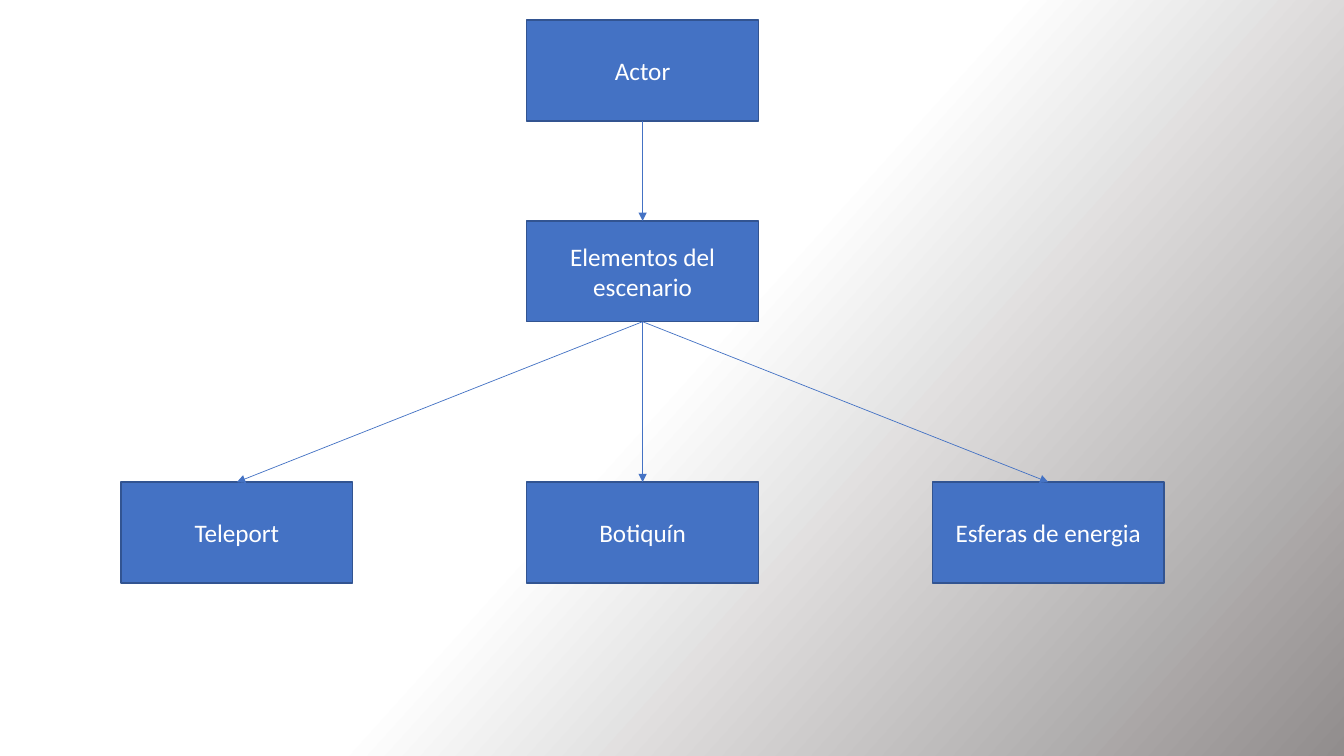
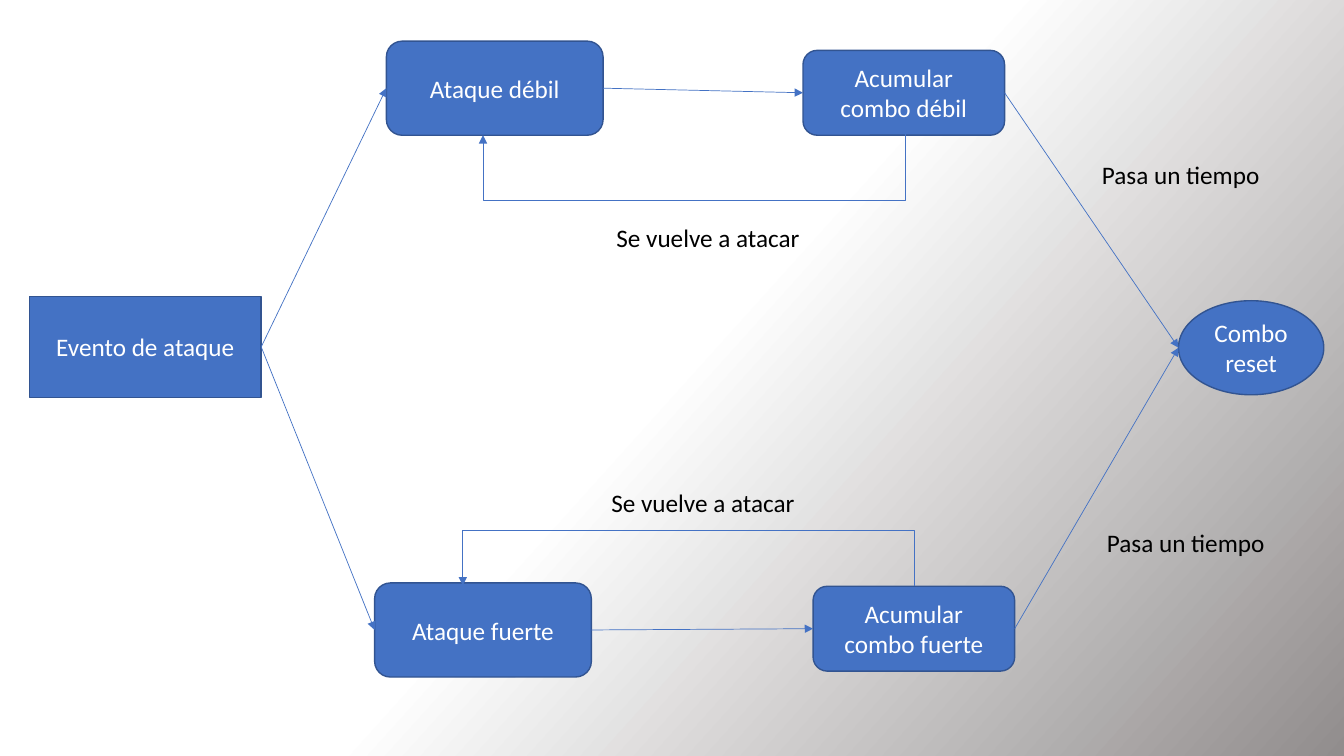
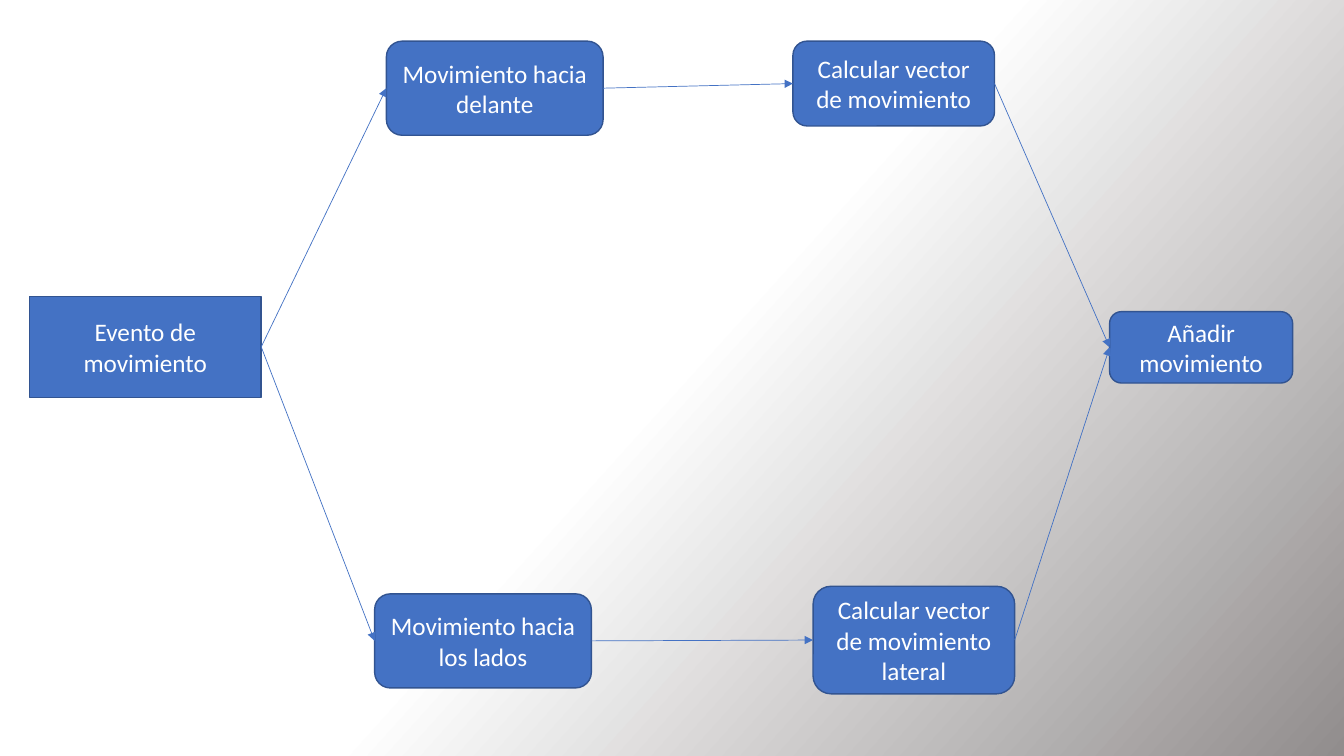
import copy

import pptx
import pptx.dml.color
import pptx.enum.shapes
import pptx.enum.text
import pptx.oxml
import pptx.oxml.ns
import pptx.util

RGB = pptx.dml.color.RGBColor
SHAPE = pptx.enum.shapes.MSO_SHAPE
qn = pptx.oxml.ns.qn

BLUE = RGB(0x44, 0x72, 0xC4)
OUTLINE = RGB(0x32, 0x54, 0x91)
WHITE = RGB(0xFF, 0xFF, 0xFF)
BLACK = RGB(0x00, 0x00, 0x00)
GREY = RGB(0x91, 0x8D, 0x8D)
FONT = "Calibri"
TEXT_SIZE = pptx.util.Pt(18)

# Connection sites of a box; an ellipse has eight, its left is number 2
TOP, LEFT, BOTTOM, RIGHT = range(4)
ELLIPSE_LEFT = 2

deck = pptx.Presentation()
deck.slide_width = pptx.util.Inches(13.333)
deck.slide_height = pptx.util.Inches(7.5)
CELL = deck.slide_width / 16  # square grid, 16 columns by 9 rows

# Shared background: white to the middle, then grey towards the lower right
backdrop = deck.slide_master.background.fill
backdrop.gradient()
backdrop.gradient_angle = 360 - 42
stop_list = deck.slide_master.element.find(".//" + qn("a:gsLst"))
stop_list.insert(1, copy.deepcopy(stop_list[0]))
for stop, (position, colour) in zip(backdrop.gradient_stops,
                                    [(0, WHITE), (0.5, WHITE), (1, GREY)]):
    stop.position = position
    stop.color.rgb = colour


def add_step(slide, wording, column, row, columns, rows, preset=None):
    """Add a blue step, or a plain label when no preset is given."""
    place = [round(n * CELL) for n in (column, row, columns, rows)]
    if preset is None:
        step = slide.shapes.add_textbox(*place)
        step.text_frame.word_wrap = False
    else:
        step = slide.shapes.add_shape(preset, *place)
        step.shadow.inherit = False
        step.fill.solid()
        step.fill.fore_color.rgb = BLUE
        step.line.color.rgb = OUTLINE
        step.line.width = pptx.util.Pt(1)
        step.text_frame.word_wrap = True
        step.text_frame.vertical_anchor = pptx.enum.text.MSO_ANCHOR.MIDDLE
    paragraph = step.text_frame.paragraphs[0]
    if preset is not None:
        paragraph.alignment = pptx.enum.text.PP_ALIGN.CENTER
    run = paragraph.add_run()
    run.text = wording
    run.font.name = FONT
    run.font.size = TEXT_SIZE
    run.font.color.rgb = BLACK if preset is None else WHITE
    return step


def style_arrow(arrow):
    """Thin blue line with a triangle at its end and no shadow."""
    arrow.line.color.rgb = BLUE
    arrow.line.width = pptx.util.Pt(0.5)
    properties = arrow.element.spPr
    head = pptx.oxml.ns.nsdecls("a")
    properties.find(qn("a:ln")).append(
        pptx.oxml.parse_xml(f'<a:tailEnd {head} type="triangle"/>'))
    if properties.find(qn("a:effectLst")) is None:
        properties.append(pptx.oxml.parse_xml(f"<a:effectLst {head}/>"))


blank = deck.slide_layouts[6]
hierarchy, attack, movement = [deck.slides.add_slide(blank) for _ in range(3)]
links = []  # slide, start step, its site, end step, its site

# Slide 1: class hierarchy in three columns
CLASS_SIZE = (2.76, 1.2)
class_columns = [1.44 + 4.83 * i for i in range(3)]
actor = add_step(hierarchy, "Actor", class_columns[1], 0.24, *CLASS_SIZE, SHAPE.RECTANGLE)
scenery = add_step(hierarchy, "Elementos del escenario", class_columns[1], 2.63,
                   *CLASS_SIZE, SHAPE.RECTANGLE)
links.append((hierarchy, actor, BOTTOM, scenery, TOP))
for wording, column in zip(["Teleport", "Botiquín", "Esferas de energia"], class_columns):
    element = add_step(hierarchy, wording, column, 5.74, *CLASS_SIZE, SHAPE.RECTANGLE)
    links.append((hierarchy, scenery, BOTTOM, element, TOP))

# Slides 2 and 3: an event splits into two branches that meet again
flows = [
    (attack, "Evento de ataque",
     ("Combo reset", 14.03, 3.58, 1.73, 1.12, SHAPE.OVAL), ELLIPSE_LEFT,
     [("Ataque débil", 4.6, 0.49, "Acumular combo débil", 9.56, 0.6, 1.01),
      ("Ataque fuerte", 4.46, 6.94, "Acumular combo fuerte", 9.68, 6.98, 1.01)]),
    (movement, "Evento de movimiento",
     ("Añadir movimiento", 13.21, 3.71, 2.18, 0.85, SHAPE.ROUNDED_RECTANGLE), LEFT,
     [("Movimiento hacia delante", 4.6, 0.49,
       "Calcular vector de movimiento", 9.44, 0.49, 1.01),
      ("Movimiento hacia los lados", 4.46, 7.07,
       "Calcular vector de movimiento lateral", 9.68, 6.98, 1.28)]),
]
for slide, event_wording, result_place, result_site, branches in flows:
    event = add_step(slide, event_wording, 0.35, 3.53, *CLASS_SIZE, SHAPE.RECTANGLE)
    result = add_step(slide, *result_place)
    for action, action_x, action_y, outcome, outcome_x, outcome_y, outcome_rows in branches:
        first = add_step(slide, action, action_x, action_y, 2.58, 1.12,
                         SHAPE.ROUNDED_RECTANGLE)
        second = add_step(slide, outcome, outcome_x, outcome_y, 2.4, outcome_rows,
                          SHAPE.ROUNDED_RECTANGLE)
        links += [(slide, event, RIGHT, first, LEFT),
                  (slide, first, RIGHT, second, LEFT),
                  (slide, second, RIGHT, result, result_site)]

# Straight arrows between the steps
for slide, start, start_site, end, end_site in links:
    arrow = slide.shapes.add_connector(pptx.enum.shapes.MSO_CONNECTOR.STRAIGHT, 0, 0, 0, 0)
    arrow.begin_connect(start, start_site)
    arrow.end_connect(end, end_site)
    if end.auto_shape_type == SHAPE.OVAL:
        arrow.end_x = end.left
        arrow.end_y = end.top + end.height // 2
    style_arrow(arrow)

# Slide 2: loops back to the attack, and the labels
for route in [[(10.78, 1.6), (10.78, 2.39), (5.75, 2.39), (5.75, 1.61)],
              [(10.88, 6.98), (10.88, 6.31), (5.51, 6.31), (5.51, 6.97)]]:
    corners = [(round(x * CELL), round(y * CELL)) for x, y in route]
    outline = attack.shapes.build_freeform(*corners[0])
    outline.add_line_segments(corners[1:], close=False)
    repeat = outline.convert_to_shape()
    repeat.shadow.inherit = False
    repeat.fill.background()
    style_arrow(repeat)
for wording, column, row, columns in [("Se vuelve a atacar", 7.22, 2.59, 2.46),
                                      ("Se vuelve a atacar", 7.16, 5.74, 2.46),
                                      ("Pasa un tiempo", 13, 1.84, 2.22),
                                      ("Pasa un tiempo", 13.06, 6.22, 2.22)]:
    add_step(attack, wording, column, row, columns, 0.48)

deck.save("out.pptx")
